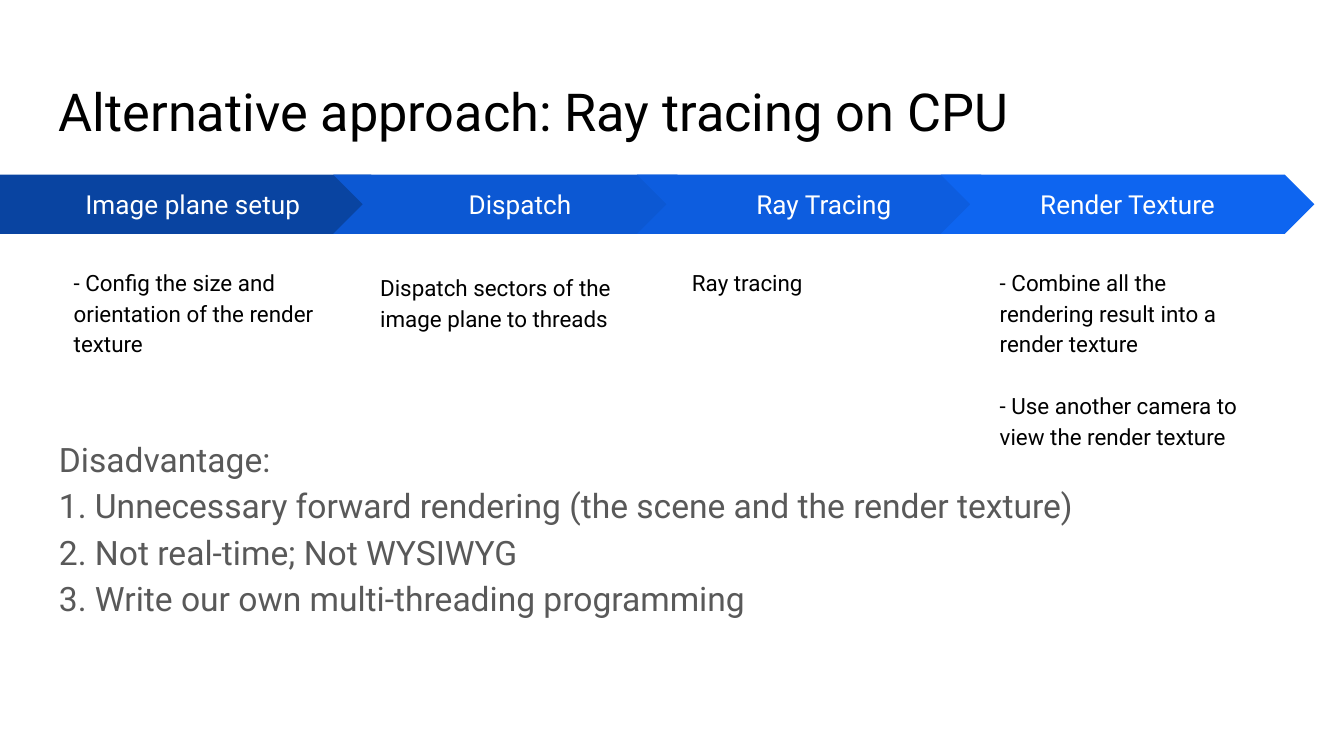
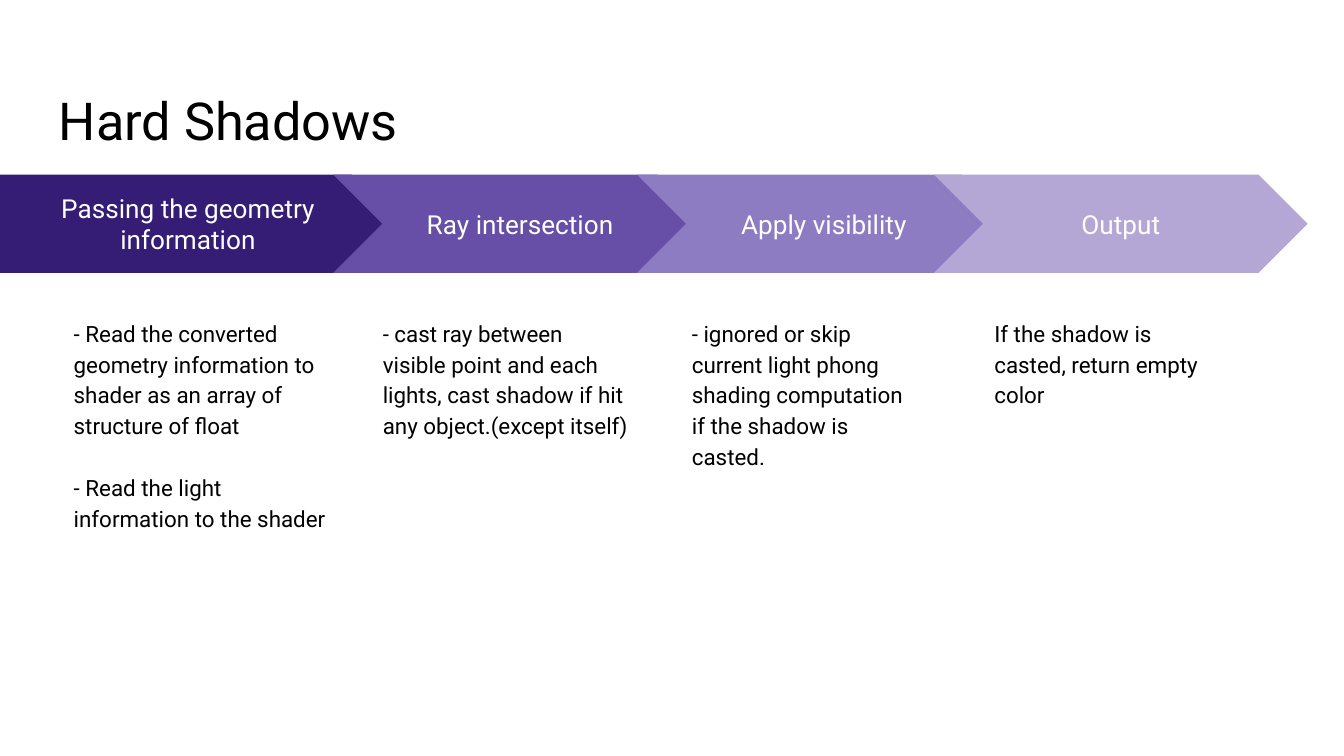
"""Build two process slides, each with a title, a band of arrows and notes."""
from pptx import Presentation
from pptx.dml.color import RGBColor
from pptx.enum.shapes import MSO_SHAPE
from pptx.enum.text import MSO_ANCHOR, PP_ALIGN
from pptx.util import Inches, Pt

FONT = "Roboto"
BLACK, WHITE, GREY = "000000", "FFFFFF", "595959"
WIDTH = Inches(10)
HEIGHT = WIDTH * 9 // 16
TITLE = (0.34, 0.49, 9.32, 0.63)
BODY = (0.34, 3.12, 9.32, 1.87)
TOP, FIRST, WIDE = 1.3, 2.98, 2.78
LEAD = {"line_spacing": 1.15}
LOOSE = {"line_spacing": 1.15, "space_after": Pt(16)}
MID = {"alignment": PP_ALIGN.CENTER}
GAP = Pt(16.5)

SLIDES = [
    {
        "title": "Alternative approach: Ray tracing on CPU",
        "style": {},
        "high": 0.44,
        "plain": True,
        "body": [
            "Disadvantage:",
            "1. Unnecessary forward rendering (the scene and the render texture)",
            "2. Not real-time; Not WYSIWYG",
            "3. Write our own multi-threading programming",
        ],
        "steps": [
            ("Image plane setup", "0944A1", 0, (0.45, 1.87, 2.08, 1.09),
             ["- Config the size and orientation of the render texture"]),
            ("Dispatch", "0C58D3", 2.48, (2.73, 1.91, 2.08, 0.77),
             ["Dispatch sectors of the image plane to threads"]),
            ("Ray Tracing", "0D5DDF", 4.74, (5.05, 1.87, 2.08, 1.71),
             ["Ray tracing"]),
            ("Render Texture", "0E65F0", 7, (7.34, 1.87, 2.08, 1.71),
             ["- Combine all the rendering result into a render texture",
              "- Use another camera to view the render texture"]),
        ],
    },
    {
        "title": "Hard Shadows",
        "style": LOOSE,
        "high": 0.73,
        "plain": False,
        "body": [],
        "steps": [
            ("Passing the geometry information", "351C75", 0,
             (0.45, 2.25, 2.08, 2.86),
             ["- Read the converted geometry information to shader as an "
              "array of structure of float",
              "- Read the light information to the shader"]),
            ("Ray intersection", "674EA7", 2.48, (2.75, 2.25, 2.03, 2.57),
             ["- cast ray between visible point and each lights, cast shadow "
              "if hit any object.(except itself)"]),
            ("Apply visibility", "8E7CC3", 4.74, (5.05, 2.25, 1.9, 2.57),
             ["- ignored or skip current light phong shading computation if "
              "the shadow is casted."]),
            ("Output", "B4A7D6", 6.95, (7.3, 2.25, 1.88, 2.57),
             ["If the shadow is casted, return empty color"]),
        ],
    },
]


def paint(hue):
    return RGBColor.from_string(hue)


def put(item, values):
    for name, value in values.items():
        setattr(item, name, value)


def write(shape, texts, size, hue, style, anchor=MSO_ANCHOR.TOP):
    frame = shape.text_frame
    sides = ("left", "right", "top", "bottom")
    put(frame, {f"margin_{side}": Inches(0.1) for side in sides})
    put(frame, {"word_wrap": True, "vertical_anchor": anchor})
    for i, text in enumerate(texts):
        para = frame.paragraphs[0] if i == 0 else frame.add_paragraph()
        para.text = text
        put(para, style)
        if i:
            para.space_before = GAP
        for run in para.runs:
            put(run.font, {"name": FONT, "size": Pt(size)})
            run.font.color.rgb = paint(hue)


def text_box(slide, box):
    return slide.shapes.add_textbox(*map(Inches, box))


def solid(slide, kind, box, hue):
    shape = slide.shapes.add_shape(kind, *map(Inches, box))
    shape.shadow.inherit = False
    shape.fill.solid()
    shape.fill.fore_color.rgb = paint(hue)
    shape.line.fill.background()
    return shape


def add_step(slide, page, i, step):
    label, hue, left, box, notes = step
    kind = MSO_SHAPE.CHEVRON if i else MSO_SHAPE.PENTAGON
    width = WIDE if i else FIRST
    arrow = solid(slide, kind, (left, TOP, width, page["high"]), hue)
    write(arrow, [label], 14, WHITE, MID, MSO_ANCHOR.MIDDLE)
    if page["plain"] or i == 0:
        note = text_box(slide, box)
    else:
        note = solid(slide, MSO_SHAPE.RECTANGLE, box, WHITE)
    write(note, notes, 12, BLACK, {**LEAD, "alignment": PP_ALIGN.LEFT})


def add_page(deck, page):
    slide = deck.slides.add_slide(deck.slide_layouts[6])
    write(text_box(slide, TITLE), [page["title"]], 28, BLACK, page["style"])
    if page["body"]:
        text = "\n".join(page["body"])
        write(text_box(slide, BODY), [text], 18, GREY, LOOSE)
    for i, step in enumerate(page["steps"]):
        add_step(slide, page, i, step)


def main():
    deck = Presentation()
    put(deck, {"slide_width": WIDTH, "slide_height": HEIGHT})
    for page in SLIDES:
        add_page(deck, page)
    deck.save("out.pptx")


if __name__ == "__main__":
    main()
